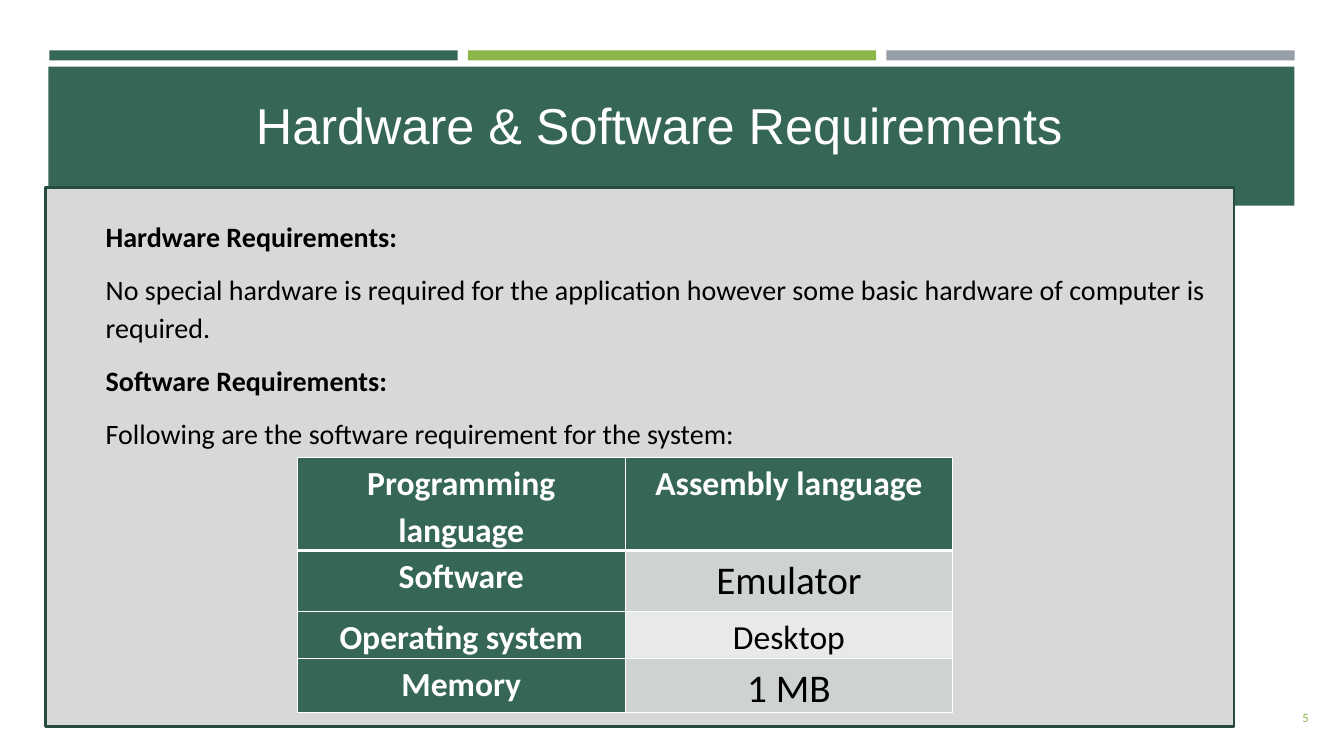
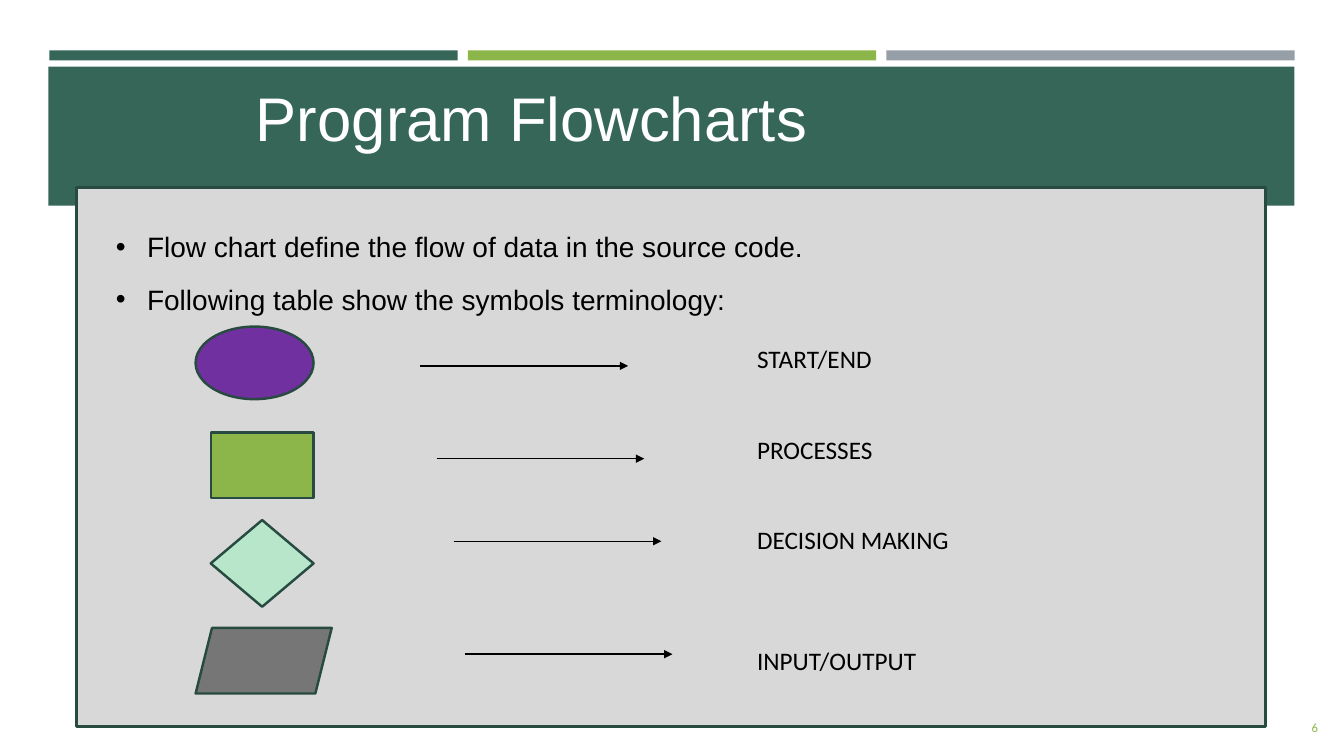
"""Build two slides on program requirements and flowchart symbols."""
from dataclasses import dataclass

from lxml import etree
from pptx import Presentation
from pptx.dml.color import RGBColor
from pptx.enum.shapes import MSO_CONNECTOR, MSO_SHAPE
from pptx.enum.text import MSO_ANCHOR, PP_ALIGN
from pptx.oxml.ns import qn
from pptx.util import Emu, Pt

SCALE = 9144
GREEN = RGBColor(0x36, 0x66, 0x58)
LIME = RGBColor(0x8C, 0xB6, 0x4A)
SLATE = RGBColor(0x96, 0x9F, 0xA7)
EDGE = RGBColor(0x28, 0x4B, 0x41)
PANEL = RGBColor(0xD8, 0xD8, 0xD8)
DARK = RGBColor(0xCE, 0xD3, 0xD1)
PALE = RGBColor(0xE8, 0xEA, 0xEA)
PURPLE = RGBColor(0x70, 0x30, 0xA0)
MINT = RGBColor(0xB8, 0xE6, 0xCB)
GRAY = RGBColor(0x76, 0x76, 0x76)
WHITE = RGBColor(0xFF, 0xFF, 0xFF)
BLACK = RGBColor(0, 0, 0)

RECT, OVAL = MSO_SHAPE.RECTANGLE, MSO_SHAPE.OVAL
DIAMOND, SLANT = MSO_SHAPE.DIAMOND, MSO_SHAPE.PARALLELOGRAM
LINE = MSO_CONNECTOR.STRAIGHT
TOP, MIDDLE, BOTTOM = MSO_ANCHOR.TOP, MSO_ANCHOR.MIDDLE, MSO_ANCHOR.BOTTOM
LEFT, CENTER, RIGHT = PP_ALIGN.LEFT, PP_ALIGN.CENTER, PP_ALIGN.RIGHT

BODY = {"line_spacing": 1.15, "space_after": Pt(10)}
CELL = {"line_spacing": 1.15, "alignment": CENTER}
INSET = {"margin_left": 7, "margin_right": 7, "margin_top": 0, "margin_bottom": 0}
ARROW = 206
INDENT = 31


@dataclass(frozen=True)
class Box:
    """Hold a place and a size in px."""
    x: int
    y: int
    w: int
    h: int


@dataclass(frozen=True)
class Para:
    """Hold one paragraph and its look."""
    text: str
    size: int
    color: RGBColor = BLACK
    face: str = "Calibri"
    bold: bool = False
    bullet: bool = False


@dataclass(frozen=True)
class Row:
    """Hold one table row."""
    label: str
    value: Para
    fill: RGBColor
    high: int


@dataclass(frozen=True)
class Symbol:
    """Hold one flowchart symbol and its arrow start."""
    kind: int
    fill: RGBColor
    box: Box
    x: int
    y: int


@dataclass(frozen=True)
class Label:
    """Hold one symbol name and the gap above it in points."""
    text: str
    gap: int


BARS = (GREEN, LIME, SLATE)
NEEDS = (
    Para("Hardware Requirements:", 20, bold=True),
    Para("No special hardware is required for the application however some "
         "basic hardware of computer is required.", 20),
    Para("Software Requirements:", 20, bold=True),
    Para("Following are the software requirement for the system:", 20),
)
ROWS = (
    Row("Programming language", Para("Assembly language", 24, WHITE, bold=True), GREEN, 71),
    Row("Software", Para("Emulator", 28), DARK, 61),
    Row("Operating system", Para("Desktop", 24), PALE, 46),
    Row("Memory", Para("1 MB", 28), DARK, 46),
)
POINTS = (
    Para("Flow chart define the flow of data in the source code.", 20, face="Arial", bullet=True),
    Para("Following table show the symbols terminology:", 20, face="Arial", bullet=True),
)
SYMBOLS = (
    Symbol(OVAL, PURPLE, Box(194, 324, 117, 72), 417, 363),
    Symbol(RECT, LIME, Box(209, 429, 102, 65), 433, 455),
    Symbol(DIAMOND, MINT, Box(209, 516, 102, 86), 450, 537),
    Symbol(SLANT, GRAY, Box(194, 623, 135, 65), 461, 649),
)
LABELS = (
    Label("START/END", 0),
    Label("PROCESSES", 43),
    Label("DECISION MAKING", 43),
    Label("INPUT/OUTPUT", 65),
)


def px(size: int) -> Emu:
    """Turn px into EMU."""
    return Emu(size * SCALE)


def place(box: Box) -> tuple[Emu, Emu, Emu, Emu]:
    """Give a box in EMU."""
    return px(box.x), px(box.y), px(box.w), px(box.h)


def apply(item, look: dict) -> None:
    """Set each format value on an item."""
    for name, value in look.items():
        setattr(item, name, value)


def write(par, para: Para, look: dict) -> None:
    """Fill a paragraph with styled text."""
    apply(par, look)
    run = par.add_run()
    run.text = para.text
    apply(run.font, {"size": Pt(para.size), "name": para.face, "bold": para.bold})
    run.font.color.rgb = para.color
    if para.bullet:
        props = par._p.get_or_add_pPr()
        props.set("marL", str(px(INDENT)))
        props.set("indent", str(-px(INDENT)))
        etree.SubElement(props, qn("a:buFont")).set("typeface", "Arial")
        etree.SubElement(props, qn("a:buChar")).set("char", "•")


def add_text(slide, box: Box, paras: tuple[Para, ...], look: dict, anchor=TOP):
    """Add a wrapped text box."""
    frame = slide.shapes.add_textbox(*place(box)).text_frame
    apply(frame, {"word_wrap": True, "vertical_anchor": anchor})
    for i, para in enumerate(paras):
        write(frame.add_paragraph() if i else frame.paragraphs[0], para, look)
    return frame


def add_form(slide, kind: int, box: Box, fill: RGBColor, edge: RGBColor | None = None) -> None:
    """Add a filled shape, with an outline if asked."""
    form = slide.shapes.add_shape(kind, *place(box))
    form.shadow.inherit = False
    form.fill.solid()
    form.fill.fore_color.rgb = fill
    if edge is None:
        form.line.fill.background()
    else:
        form.line.color.rgb = edge
        form.line.width = Pt(1.75)


def add_arrow(slide, x: int, y: int) -> None:
    """Add a level arrow pointing right."""
    arrow = slide.shapes.add_connector(LINE, px(x), px(y), px(x + ARROW), px(y))
    arrow.line.color.rgb = BLACK
    arrow.line.width = Pt(1)
    etree.SubElement(arrow.line._get_or_add_ln(), qn("a:tailEnd")).set("type", "triangle")
    etree.SubElement(arrow._element.spPr, qn("a:effectLst"))


def add_edges(cell, wide: dict[str, int]) -> None:
    """Draw white cell borders with widths in points."""
    props = cell._tc.get_or_add_tcPr()
    for side, width in wide.items():
        edge = etree.SubElement(props, qn(f"a:ln{side}"))
        edge.set("w", str(Pt(width)))
        fill = etree.SubElement(edge, qn("a:solidFill"))
        etree.SubElement(fill, qn("a:srgbClr")).set("val", str(WHITE))


def add_grid(slide, box: Box, rows: tuple[Row, ...]) -> None:
    """Add the table of software needs."""
    grid = slide.shapes.add_table(len(rows), 2, *place(box)).table
    apply(grid, {"first_row": False, "horz_banding": False})
    for col in grid.columns:
        col.width = px(box.w // 2)
    for i, row in enumerate(rows):
        grid.rows[i].height = px(row.high)
        wide = {"L": 1, "R": 1, "T": 3 if i == 1 else 1, "B": 1 if i else 3}
        head = Para(row.label, 24, WHITE, bold=True)
        for j, (para, fill) in enumerate(((head, GREEN), (row.value, row.fill))):
            cell = grid.cell(i, j)
            add_edges(cell, wide)
            cell.fill.solid()
            cell.fill.fore_color.rgb = fill
            apply(cell, {name: px(size) for name, size in INSET.items()})
            write(cell.text_frame.paragraphs[0], para, CELL)


def add_page(deck, title: str, size: int, left: int, number: str, spot: Box):
    """Add a slide with bars, title band, number and panel."""
    slide = deck.slides.add_slide(deck.slide_layouts[6])
    for i, color in enumerate(BARS):
        add_form(slide, RECT, Box(49 + 415 * i, 50, 405, 10), color)
    add_form(slide, RECT, Box(48, 66, 1236, 138), GREEN)
    add_text(slide, Box(244, 28, 845, 130), (Para(title, size, WHITE, "Arial"),),
             {"alignment": LEFT}, BOTTOM)
    add_text(slide, spot, (Para(number, 9, LIME),), {"alignment": RIGHT}, MIDDLE)
    add_form(slide, RECT, Box(left, 186, 1179, 535), PANEL, EDGE)
    return slide


def main() -> None:
    """Build and save the deck."""
    deck = Presentation()
    apply(deck, {"slide_width": px(1333), "slide_height": px(750)})

    needs = add_page(deck, "Hardware & Software Requirements", 36, 45, "5",
                     Box(1268, 692, 40, 40))
    add_text(needs, Box(95, 208, 1135, 290), NEEDS, BODY)
    add_grid(needs, Box(295, 454, 650, 224), ROWS)

    flow = add_page(deck, "Program Flowcharts", 44, 76, "6", Box(1277, 702, 40, 40))
    add_text(flow, Box(105, 218, 1115, 146), POINTS, BODY)
    for sym in SYMBOLS:
        add_form(flow, sym.kind, sym.box, sym.fill, EDGE)
        add_arrow(flow, sym.x, sym.y)
    names = add_text(flow, Box(741, 336, 288, 343),
                     tuple(Para(label.text, 18) for label in LABELS), {})
    for par, label in zip(names.paragraphs, LABELS):
        par.space_before = Pt(label.gap)

    deck.save("out.pptx")


if __name__ == "__main__":
    main()
